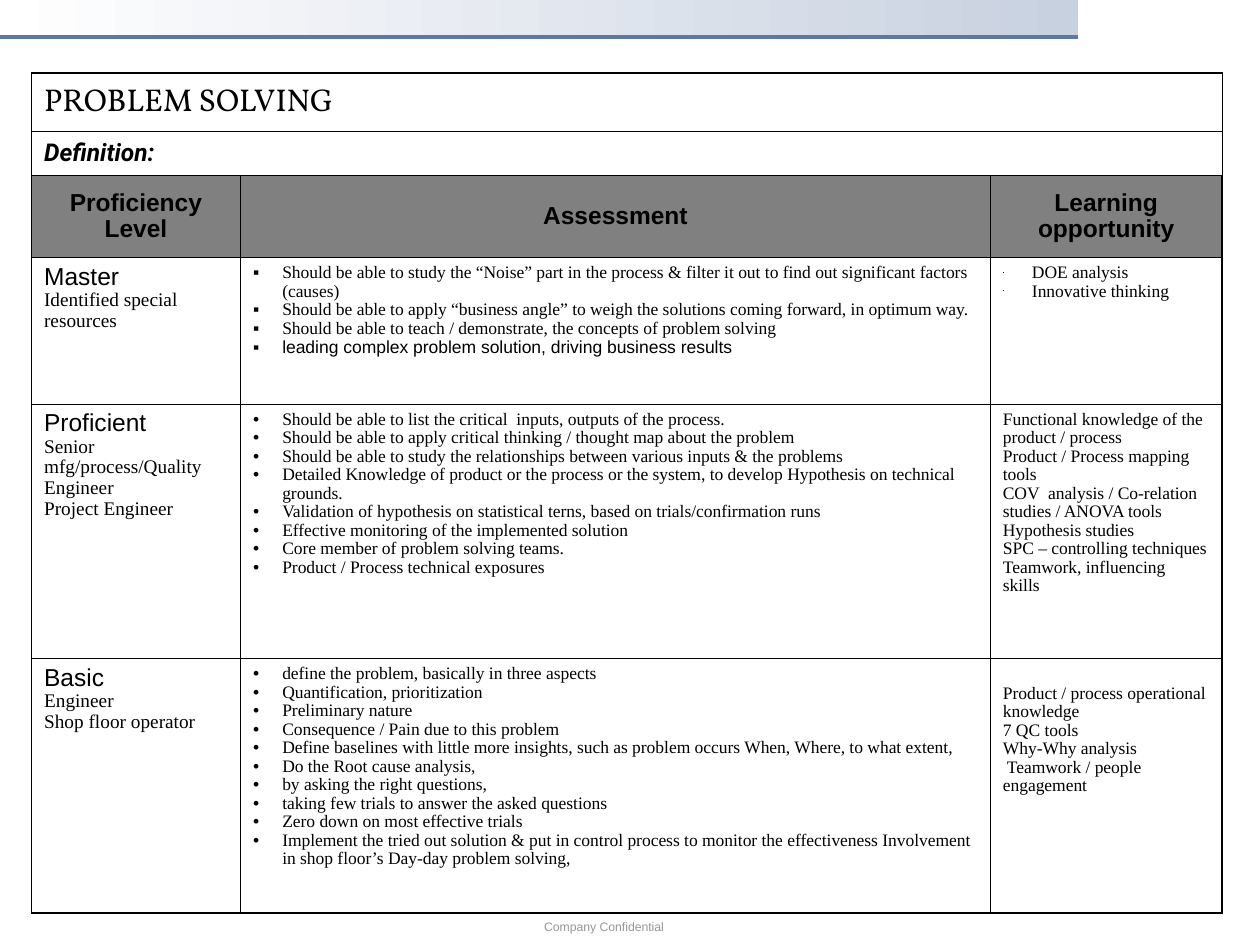
from dataclasses import dataclass

from lxml import etree
from pptx import Presentation
from pptx.dml.color import RGBColor
from pptx.enum.shapes import MSO_CONNECTOR, MSO_SHAPE
from pptx.enum.text import MSO_ANCHOR, MSO_AUTO_SIZE, PP_ALIGN
from pptx.oxml.ns import qn
from pptx.util import Pt

LEFT, CENTER, JUSTIFY = PP_ALIGN.LEFT, PP_ALIGN.CENTER, PP_ALIGN.JUSTIFY
TOP, MIDDLE = MSO_ANCHOR.TOP, MSO_ANCHOR.MIDDLE


@dataclass(frozen=True)
class Theme:
    black: str = "000000"
    header_fill: str = "808080"
    band_start: str = "FFFFFF"
    band_end: str = "C8D1E0"
    rule: str = "5D78A3"
    footer: str = "969696"
    sans: str = "Arial"
    serif: str = "Times New Roman"
    title_font: str = "Vollkorn"
    definition_font: str = "Roboto"
    title_size: float = 18
    head_size: float = 14
    role_size: float = 11
    body_size: float = 10
    footer_size: float = 7
    thin: float = 0.45
    thick: float = 1.08
    line_spacing: float = 0.96


T = Theme()
TITLE = {"name": T.title_font, "size": Pt(T.title_size)}
DEFINITION = {"name": T.definition_font, "size": Pt(T.head_size), "bold": True, "italic": True}
HEADER = {"name": T.sans, "size": Pt(T.head_size), "bold": True}
LEVEL = {"name": T.sans, "size": Pt(T.head_size), "bold": False}
ROLE = {"name": T.serif, "size": Pt(T.role_size)}
BODY = {"name": T.serif, "size": Pt(T.body_size)}
BODY_SANS = {"name": T.sans, "size": Pt(T.body_size)}
FOOTER = {"name": T.sans, "size": Pt(T.footer_size)}

COLS = [119.5, 428.4, 132.5]
ROWS = [33.3, 25.2, 47, 83.7, 145.4, 145.4]
HEADINGS = ["Proficiency Level", "Assessment", "Learning opportunity"]

# Each level: name, roles, assessment, its bullet, learning, its bullet, top margin of learning
LEVELS = [
    ("Master", ["Identified special resources"],
     ["Should be able to study the “Noise” part in the process & filter it out to find out "
      "significant factors (causes)",
      "Should be able to apply “business angle” to weigh the solutions coming forward, in optimum way.",
      "Should be able to teach / demonstrate, the concepts of problem solving",
      ("leading complex problem solution, driving business results", BODY_SANS)],
     ("▪", 100),
     ["DOE analysis", "Innovative thinking"], ("•", 25), 3.6),
    ("Proficient", ["Senior mfg/process/Quality Engineer", "Project Engineer"],
     ["Should be able to list the critical  inputs, outputs of the process.",
      "Should be able to apply critical thinking / thought map about the problem",
      "Should be able to study the relationships between various inputs & the problems",
      "Detailed Knowledge of product or the process or the system, to develop Hypothesis on "
      "technical grounds.",
      "Validation of hypothesis on statistical terns, based on trials/confirmation runs",
      "Effective monitoring of the implemented solution",
      "Core member of problem solving teams.",
      "Product / Process technical exposures"],
     ("•", 100),
     ["Functional knowledge of the product / process",
      "Product / Process mapping tools",
      "COV  analysis / Co-relation studies / ANOVA tools",
      "Hypothesis studies",
      "SPC – controlling techniques",
      "Teamwork, influencing",
      "skills"], None, 3.6),
    ("Basic", ["Engineer", "Shop floor operator"],
     ["define the problem, basically in three aspects",
      "Quantification, prioritization",
      "Preliminary nature",
      "Consequence / Pain due to this problem",
      "Define baselines with little more insights, such as problem occurs When, Where, to what extent,",
      "Do the Root cause analysis,",
      "by asking the right questions,",
      "taking few trials to answer the asked questions",
      "Zero down on most effective trials",
      "Implement the tried out solution & put in control process to monitor the effectiveness "
      "Involvement in shop floor’s Day-day problem solving,"],
     ("•", 100),
     ["Product / process operational knowledge",
      "7 QC tools",
      "Why-Why analysis",
      " Teamwork / people engagement"], None, 14.6),
]


def rgb(color):
    return RGBColor.from_string(color)


def set_attrs(obj, values):
    for key, value in values.items():
        setattr(obj, key, value)


def add_run(p, text, font, color=T.black):
    r = p.add_run()
    r.text = text
    set_attrs(r.font, font)
    r.font.color.rgb = rgb(color)


def set_indent(p, hanging):
    pPr = p._p.get_or_add_pPr()
    pPr.set("marL", str(Pt(hanging)))
    pPr.set("indent", str(-Pt(hanging)))
    return pPr


def add_bullet(p, char, percent):
    pPr = set_indent(p, 16.6)
    color = etree.SubElement(pPr, qn("a:buClr"))
    etree.SubElement(color, qn("a:srgbClr"), val=T.black)
    etree.SubElement(pPr, qn("a:buSzPct"), val=str(percent * 1000))
    etree.SubElement(pPr, qn("a:buFont"), typeface=T.sans)
    etree.SubElement(pPr, qn("a:buChar"), char=char)


def fill_cell(cell, items, align=LEFT, anchor=TOP, before=0, bullet=None, top=3.6):
    """Write (text, font) items as paragraphs; plain strings take the body font."""
    set_attrs(cell, {"margin_left": Pt(7.2), "margin_right": Pt(7.2), "margin_top": Pt(top),
                     "margin_bottom": Pt(3.6), "vertical_anchor": anchor})
    tf = cell.text_frame
    for i, item in enumerate(items):
        text, font = (item, BODY) if isinstance(item, str) else item
        p = tf.paragraphs[0] if i == 0 else tf.add_paragraph()
        set_attrs(p, {"alignment": align, "line_spacing": T.line_spacing,
                      "space_before": Pt(before if i == 0 else 0)})
        if bullet:
            add_bullet(p, *bullet)
        add_run(p, text, font)


def style_cell(cell, row, col):
    """Thick lines on the outside of the table, thin lines within."""
    tcPr = cell._tc.get_or_add_tcPr()
    outer = {"L": col == 0, "R": col == len(COLS) - 1, "T": row == 0, "B": row == len(ROWS) - 1}
    for side, is_outer in outer.items():
        ln = etree.SubElement(tcPr, qn(f"a:ln{side}"), w=str(Pt(T.thick if is_outer else T.thin)))
        fill = etree.SubElement(ln, qn("a:solidFill"))
        etree.SubElement(fill, qn("a:srgbClr"), val=T.black)
    if row == 2:
        cell.fill.solid()
        cell.fill.fore_color.rgb = rgb(T.header_fill)
    else:
        cell.fill.background()


def add_top_band(s):
    sp = s.shapes.add_shape(MSO_SHAPE.RECTANGLE, Pt(0), Pt(0), Pt(616), Pt(21))
    sp.shadow.inherit = False
    sp.line.fill.background()
    sp.fill.gradient()
    sp.fill.gradient_angle = 0
    for stop, color in zip(sp.fill.gradient_stops, (T.band_start, T.band_end)):
        stop.color.rgb = rgb(color)
    rule = s.shapes.add_connector(MSO_CONNECTOR.STRAIGHT, Pt(-2), Pt(21), Pt(616), Pt(21))
    rule.line.color.rgb = rgb(T.rule)
    rule.line.width = Pt(2.25)
    etree.SubElement(rule._element.spPr, qn("a:effectLst"))


def add_footer(s):
    tf = s.shapes.add_textbox(Pt(303), Pt(522), Pt(112.5), Pt(15.8)).text_frame
    set_attrs(tf, {"margin_left": Pt(7.9), "margin_right": Pt(7.9), "margin_top": Pt(3.6),
                   "margin_bottom": Pt(3.6), "word_wrap": False,
                   "auto_size": MSO_AUTO_SIZE.SHAPE_TO_FIT_TEXT})
    p = tf.paragraphs[0]
    set_indent(p, 14.4)
    add_run(p, "Company Confidential", FOOTER, T.footer)


def add_skill_table(s):
    table = s.shapes.add_table(len(ROWS), len(COLS), Pt(18), Pt(41.8),
                               Pt(sum(COLS)), Pt(sum(ROWS))).table
    set_attrs(table, {"first_row": False, "horz_banding": False})
    for column, width in zip(table.columns, COLS):
        column.width = Pt(width)
    for i, (row, height) in enumerate(zip(table.rows, ROWS)):
        row.height = Pt(height)
        for j, cell in enumerate(row.cells):
            style_cell(cell, i, j)
    banners = [("PROBLEM SOLVING", TITLE, 4.5), ("Definition:", DEFINITION, 3.5)]
    for i, (text, font, before) in enumerate(banners):
        table.cell(i, 0).merge(table.cell(i, len(COLS) - 1))
        fill_cell(table.cell(i, 0), [(text, font)], JUSTIFY, MIDDLE, before)
    for j, text in enumerate(HEADINGS):
        fill_cell(table.cell(2, j), [(text, HEADER)], CENTER, MIDDLE, 3.5)
    for i, (name, roles, tasks, task_bullet, learning, learn_bullet, top) in enumerate(LEVELS, 3):
        fill_cell(table.cell(i, 0), [(name, LEVEL)] + [(role, ROLE) for role in roles], before=3.5)
        fill_cell(table.cell(i, 1), tasks, bullet=task_bullet)
        fill_cell(table.cell(i, 2), learning, bullet=learn_bullet, top=top)


def main():
    prs = Presentation()
    set_attrs(prs, {"slide_width": Pt(720), "slide_height": Pt(540)})
    s = prs.slides.add_slide(prs.slide_layouts[6])
    add_top_band(s)
    add_footer(s)
    add_skill_table(s)
    prs.save("out.pptx")


if __name__ == "__main__":
    main()
